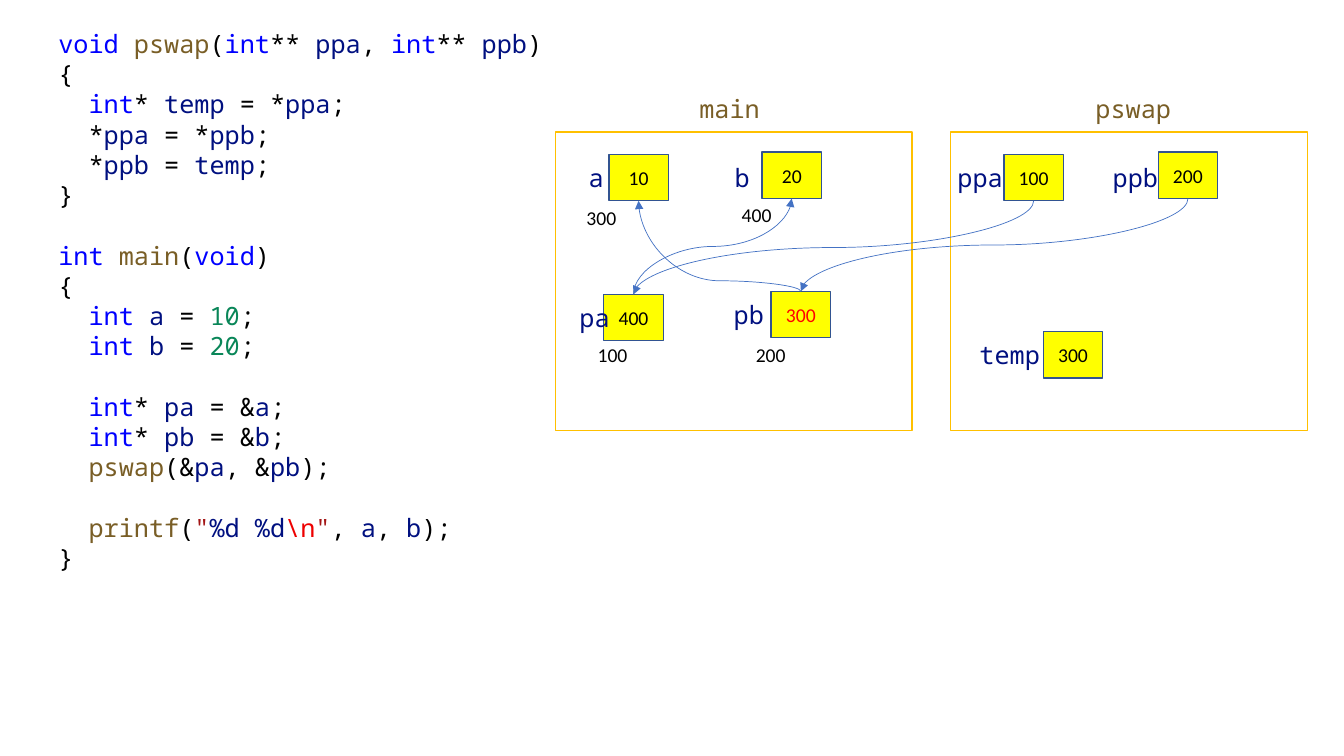
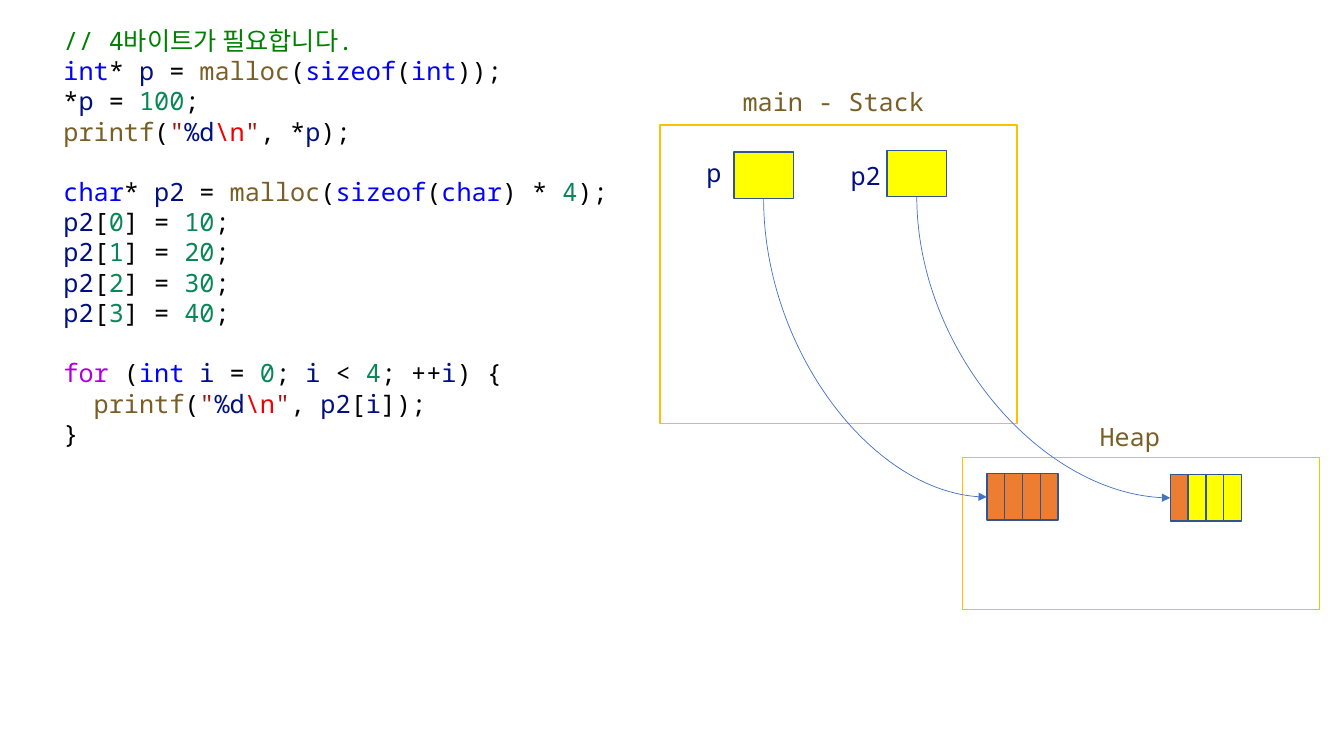
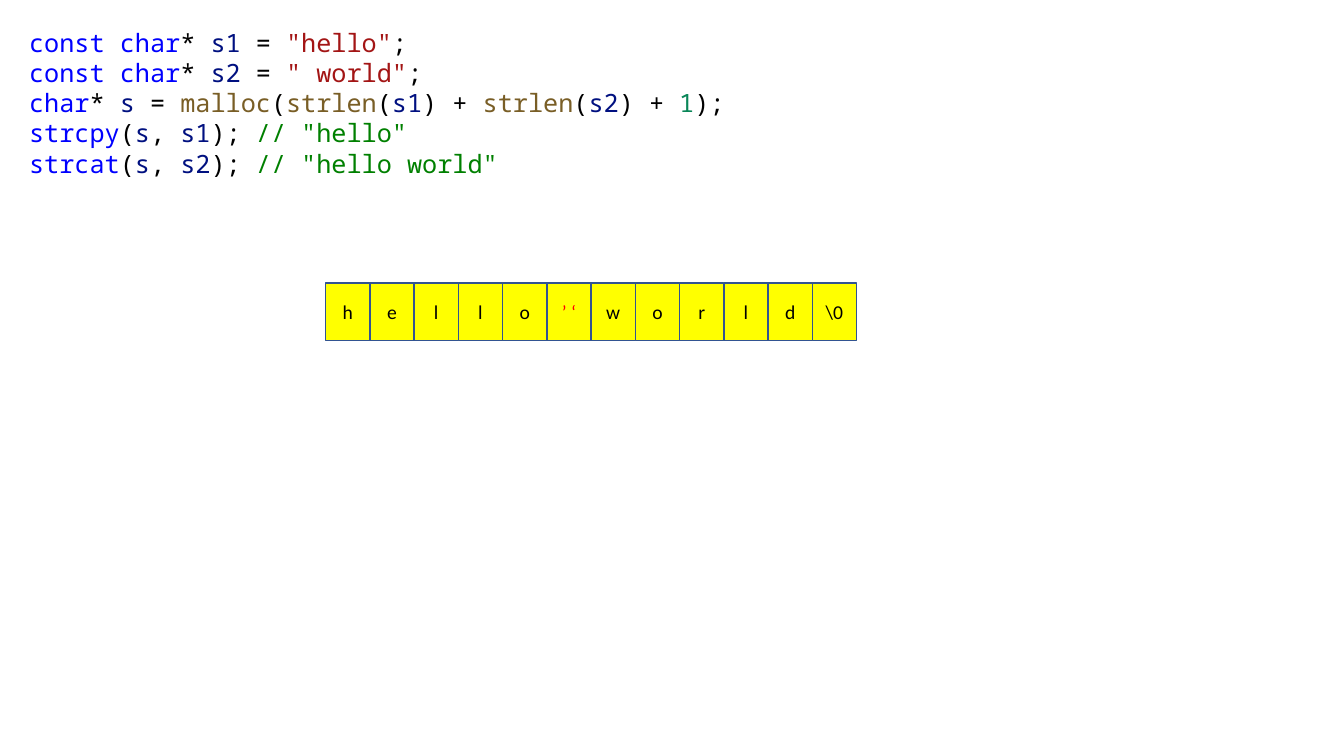
"""Three slides that draw C pointers, heap memory and strings next to their code."""
from dataclasses import dataclass
from itertools import groupby
from typing import Iterator, Optional

from lxml import etree
from pptx import Presentation
from pptx.dml.color import RGBColor
from pptx.enum.shapes import MSO_CONNECTOR, MSO_SHAPE
from pptx.enum.text import MSO_ANCHOR, PP_ALIGN
from pptx.oxml.ns import qn
from pptx.shapes.autoshape import Shape
from pptx.slide import Slide
from pptx.text.text import _Paragraph as Paragraph
from pptx.util import Pt

RECTANGLE = MSO_SHAPE.RECTANGLE
CURVE = MSO_CONNECTOR.CURVE
MIDDLE = MSO_ANCHOR.MIDDLE
CENTER = PP_ALIGN.CENTER

COLORS = {
    "plain": "000000", "keyword": "0000FF", "control": "AF00DB", "function": "795E26",
    "name": "001080", "number": "098658", "string": "A31515", "escape": "EE0000",
    "comment": "008000", "frame": "FFC000", "cell": "FFFF00", "used": "ED7D31",
    "edge": "325491", "arrow": "4472C4", "changed": "FF0000",
}
WORDS = {
    "keyword": {"void", "int", "char", "const", "sizeof", "strcpy", "strcat"},
    "control": {"for"},
    "function": {"pswap", "main", "printf", "malloc", "strlen"},
}
CODE_FONT, CODE_SIZE = "Noto Sans Mono", 18
VALUE_FONT, VALUE_SIZE = "Calibri", 14
CODE_LINE = 21.6
CHAR_WIDTH = 10.8
INSETS = 14.4
FRAME_WIDTH, FRAME_HEIGHT = 254.9, 213.1
CELL_WIDTH, CELL_HEIGHT = 42.5, 33.2
BYTE_WIDTH = 12.72
LETTER_WIDTH, LETTER_HEIGHT = 31.6, 41

SWAP_CODE = r"""void pswap(int** ppa, int** ppb)
{
  int* temp = *ppa;
  *ppa = *ppb;
  *ppb = temp;
}

int main(void)
{
  int a = 10;
  int b = 20;

  int* pa = &a;
  int* pb = &b;
  pswap(&pa, &pb);

  printf("%d %d\n", a, b);
}"""

HEAP_CODE = r"""// 4바이트가 필요합니다.
int* p = malloc(sizeof(int));
*p = 100;
printf("%d\n", *p);

char* p2 = malloc(sizeof(char) * 4);
p2[0] = 10;
p2[1] = 20;
p2[2] = 30;
p2[3] = 40;

for (int i = 0; i < 4; ++i) {
  printf("%d\n", p2[i]);
}"""

STRING_CODE = """  const char* s1 = "hello";
  const char* s2 = " world";
  char* s = malloc(strlen(s1) + strlen(s2) + 1);
  strcpy(s, s1); // "hello"
  strcat(s, s2); // "hello world\""""


@dataclass(frozen=True)
class Point:
    x: float
    y: float


@dataclass(frozen=True)
class Frame:
    title: str
    title_at: Point
    at: Point
    height: float = FRAME_HEIGHT


@dataclass(frozen=True)
class Variable:
    name: str
    name_at: Point
    at: Point
    value: str = ""
    color: str = "plain"
    address: str = ""
    address_at: Optional[Point] = None

    @property
    def top(self) -> Point:
        return Point(self.at.x + CELL_WIDTH / 2, self.at.y)

    @property
    def bottom(self) -> Point:
        return Point(self.at.x + CELL_WIDTH / 2, self.at.y + CELL_HEIGHT)


@dataclass(frozen=True)
class Block:
    at: Point
    fills: tuple[str, ...]

    @property
    def entry(self) -> Point:
        return Point(self.at.x, self.at.y + CELL_HEIGHT / 2)


def rgb(color: str) -> RGBColor:
    return RGBColor.from_string(COLORS[color])


def format_runs(para: Paragraph, font: str, size: float, color: str) -> None:
    for span in para.runs:
        span.font.name = font
        span.font.size = Pt(size)
        span.font.color.rgb = rgb(color)


def word_color(word: str) -> str:
    if word.isdigit():
        return "number"
    for color, words in WORDS.items():
        if word in words:
            return color
    return "name" if word.isalnum() else "plain"


def tokens(line: str) -> Iterator[tuple[str, str]]:
    code, slashes, comment = line.partition("//")
    for index, part in enumerate(code.split('"')):
        if index % 2 == 0:
            for _, letters in groupby(part, str.isalnum):
                word = "".join(letters)
                yield word, word_color(word)
        elif "%" in part:
            form, slash, escape = part.partition("\\")
            yield from (('"', "string"), (form, "name"),
                        (slash + escape, "escape"), ('"', "string"))
        else:
            yield f'"{part}"', "string"
    if slashes:
        yield slashes + comment, "comment"


def add_code(page: Slide, at: Point, width: float, height: float, code: str) -> None:
    box = page.shapes.add_textbox(Pt(at.x), Pt(at.y), Pt(width), Pt(height))
    frame = box.text_frame
    frame.word_wrap = True
    para = frame.paragraphs[0]
    for index, block in enumerate(code.split("\n\n")):
        for row, line in enumerate(block.split("\n")):
            if index or row:
                para = frame.add_paragraph()
            para.line_spacing = Pt(CODE_LINE)
            if index and row == 0:
                para.space_before = Pt(CODE_LINE)
            content = line.lstrip()
            indent = (len(line) - len(content)) * CHAR_WIDTH
            if indent:
                para._p.get_or_add_pPr().set("marL", str(Pt(indent)))
            for text, color in tokens(content):
                span = para.add_run()
                span.text = text
                span.font.name = CODE_FONT
                span.font.size = Pt(CODE_SIZE)
                span.font.color.rgb = rgb(color)


def add_label(page: Slide, at: Point, text: str, color: str) -> None:
    width = len(text) * CHAR_WIDTH + INSETS
    box = page.shapes.add_textbox(Pt(at.x), Pt(at.y), Pt(width), Pt(28.8))
    box.text_frame.word_wrap = False
    box.text_frame.text = text
    para = box.text_frame.paragraphs[0]
    para.line_spacing = Pt(CODE_LINE)
    format_runs(para, CODE_FONT, CODE_SIZE, color)


def add_address(page: Slide, at: Point, text: str) -> None:
    box = page.shapes.add_textbox(Pt(at.x), Pt(at.y), Pt(36), Pt(24.3))
    box.text_frame.word_wrap = False
    box.text_frame.text = text
    format_runs(box.text_frame.paragraphs[0], VALUE_FONT, VALUE_SIZE, "plain")


def add_box(page: Slide, at: Point, width: float, height: float,
            edge: str, fill: Optional[str] = None) -> Shape:
    box = page.shapes.add_shape(RECTANGLE, Pt(at.x), Pt(at.y), Pt(width), Pt(height))
    box.shadow.inherit = False
    box.line.color.rgb = rgb(edge)
    box.line.width = Pt(1)
    if fill:
        box.fill.solid()
        box.fill.fore_color.rgb = rgb(fill)
    else:
        box.fill.background()
    return box


def add_value(page: Slide, at: Point, width: float, height: float,
              text: str, color: str) -> None:
    box = add_box(page, at, width, height, "edge", "cell")
    if text:
        box.text_frame.text = text
        box.text_frame.vertical_anchor = MIDDLE
        para = box.text_frame.paragraphs[0]
        para.alignment = CENTER
        format_runs(para, VALUE_FONT, VALUE_SIZE, color)


def add_frame(page: Slide, frame: Frame) -> None:
    add_box(page, frame.at, FRAME_WIDTH, frame.height, "frame")
    add_label(page, frame.title_at, frame.title, "function")


def add_variable(page: Slide, variable: Variable) -> None:
    add_value(page, variable.at, CELL_WIDTH, CELL_HEIGHT, variable.value, variable.color)
    add_label(page, variable.name_at, variable.name, "name")
    if variable.address_at:
        add_address(page, variable.address_at, variable.address)


def add_block(page: Slide, block: Block) -> None:
    for index, fill in enumerate(block.fills):
        at = Point(block.at.x + index * BYTE_WIDTH, block.at.y)
        add_box(page, at, BYTE_WIDTH, CELL_HEIGHT, "edge", fill)


def add_arrow(page: Slide, start: Point, end: Point,
              bend: float = 0.5, sideways: bool = False) -> None:
    mid_x, mid_y = (start.x + end.x) / 2, (start.y + end.y) / 2
    half_width, half_height = abs(end.y - start.y) / 2, abs(end.x - start.x) / 2
    arrow = page.shapes.add_connector(
        CURVE, Pt(mid_x - half_width), Pt(mid_y - half_height),
        Pt(mid_x + half_width), Pt(mid_y + half_height))
    arrow.line.color.rgb = rgb("arrow")
    arrow.line.width = Pt(0.5)
    properties = arrow._element.spPr
    transform = properties.find(qn("a:xfrm"))
    transform.set("rot", str(90 * 60000))
    if end.y < start.y:
        transform.set("flipH", "1")
    if end.x > start.x:
        transform.set("flipV", "1")
    geometry = properties.find(qn("a:prstGeom"))
    if sideways:
        geometry.set("prst", "curvedConnector2")
    elif bend != 0.5:
        guide = etree.SubElement(geometry.find(qn("a:avLst")), qn("a:gd"))
        guide.set("name", "adj1")
        guide.set("fmla", f"val {round(bend * 100000)}")
    etree.SubElement(properties.find(qn("a:ln")), qn("a:tailEnd")).set("type", "triangle")
    etree.SubElement(properties, qn("a:effectLst"))


def build_swap(page: Slide) -> None:
    add_code(page, Point(34.6, 16.6), 380.9, 399.6, SWAP_CODE)
    add_frame(page, Frame("main", Point(492.5, 63.4), Point(396.7, 94.3)))
    add_frame(page, Frame("pswap", Point(775.4, 63.4), Point(679, 94.3)))
    a = Variable("a", Point(413.3, 112.3), Point(434.9, 110.2), "10",
                 address="300", address_at=Point(411.8, 143.3))
    b = Variable("b", Point(517.7, 112.3), Point(544.3, 108.7), "20",
                 address="400", address_at=Point(522.7, 141.1))
    pa = Variable("pa", Point(406.8, 212.4), Point(431.3, 210.2), "400",
                  address="100", address_at=Point(419.8, 241.2))
    pb = Variable("pb", Point(517, 210.2), Point(550.8, 208.1), "300", "changed",
                  address="200", address_at=Point(532.8, 241.2))
    ppa = Variable("ppa", Point(676.8, 112.3), Point(717.1, 110.2), "100")
    ppb = Variable("ppb", Point(787.7, 112.3), Point(827.3, 108.7), "200")
    temp = Variable("temp", Point(692.6, 239), Point(745.2, 236.9), "300")
    for variable in (a, b, pa, pb, ppa, ppb, temp):
        add_variable(page, variable)
    add_arrow(page, pa.top, b.bottom)
    add_arrow(page, pb.top, a.bottom, bend=0.117)
    add_arrow(page, ppa.bottom, pa.top)
    add_arrow(page, ppb.bottom, pb.top)


def build_heap(page: Slide) -> None:
    add_code(page, Point(38.2, 14.4), 425.5, 312.5, HEAP_CODE)
    add_frame(page, Frame("main - Stack", Point(523.4, 58.3), Point(471.6, 89.3)))
    add_frame(page, Frame("Heap", Point(778.3, 297.4), Point(687.6, 326.9), 108.7))
    p = Variable("p", Point(497.5, 108.7), Point(524.2, 108.7))
    p2 = Variable("p2", Point(600.5, 110.9), Point(633.6, 107.3))
    integer = Block(Point(704.9, 338.4), ("used",) * 4)
    characters = Block(Point(835.9, 339.1), ("used",) + ("cell",) * 3)
    for variable, block in ((p, integer), (p2, characters)):
        add_variable(page, variable)
        add_block(page, block)
        add_arrow(page, variable.bottom, block.entry, sideways=True)


def build_string(page: Slide) -> None:
    add_code(page, Point(-7.9, 15.8), 553.7, 116.6, STRING_CODE)
    letters = [*"hello", "’ ‘", *"world", "\\0"]
    for index, letter in enumerate(letters):
        at = Point(232.6 + index * LETTER_WIDTH, 202.3)
        color = "changed" if " " in letter else "plain"
        add_value(page, at, LETTER_WIDTH, LETTER_HEIGHT, letter, color)


def main() -> None:
    deck = Presentation()
    deck.slide_width, deck.slide_height = Pt(960), Pt(540)
    for build in (build_swap, build_heap, build_string):
        build(deck.slides.add_slide(deck.slide_layouts[6]))
    deck.save("out.pptx")


main()
